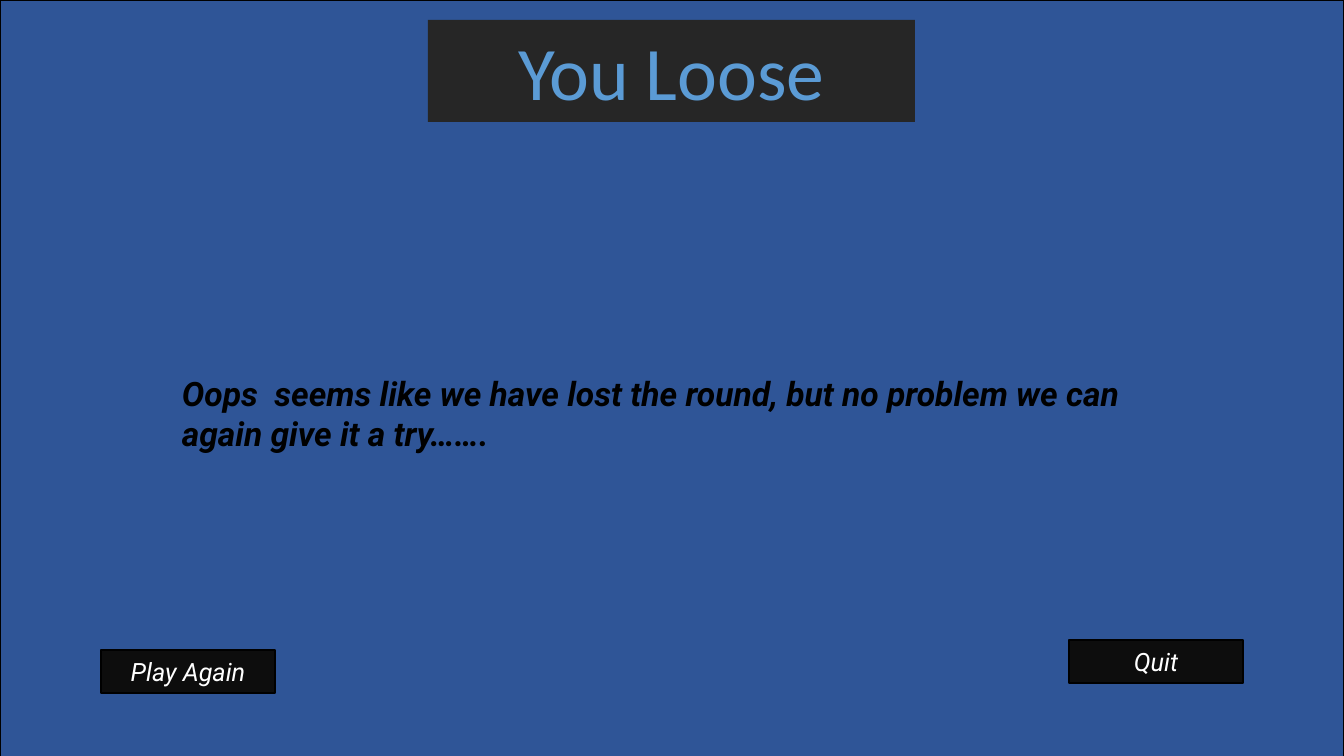
from dataclasses import dataclass
from typing import Optional

from pptx import Presentation
from pptx import util as u
from pptx.dml import color
from pptx.enum import shapes, text

SCALE = u.Inches(1) / 100.8


def px(pixels: int) -> u.Emu:
    return u.Emu(round(pixels * SCALE))


def rgb(value: str) -> color.RGBColor:
    return color.RGBColor.from_string(value)


@dataclass(frozen=True)
class Label:
    wording: str
    size: int
    font: str
    ink: str
    bold: bool = False
    italic: bool = False
    align: text.PP_ALIGN = text.PP_ALIGN.CENTER
    anchor: text.MSO_ANCHOR = text.MSO_ANCHOR.MIDDLE


@dataclass(frozen=True)
class Panel:
    left: int
    top: int
    width: int
    height: int
    fill: Optional[str] = None
    line: Optional[str] = None
    label: Optional[Label] = None


def write_label(shape, label: Label) -> None:
    frame = shape.text_frame
    frame.word_wrap = True
    frame.vertical_anchor = label.anchor
    paragraph = frame.paragraphs[0]
    paragraph.alignment = label.align
    run = paragraph.add_run()
    run.text = label.wording
    run.font.name = label.font
    run.font.size = u.Pt(label.size)
    run.font.bold = label.bold
    run.font.italic = label.italic
    run.font.color.rgb = rgb(label.ink)


def draw_panel(slide, panel: Panel) -> None:
    box = [px(side) for side in (panel.left, panel.top, panel.width, panel.height)]
    if panel.fill:
        shape = slide.shapes.add_shape(shapes.MSO_SHAPE.RECTANGLE, *box)
        shape.shadow.inherit = False
        shape.fill.solid()
        shape.fill.fore_color.rgb = rgb(panel.fill)
        if panel.line:
            shape.line.color.rgb = rgb(panel.line)
            shape.line.width = u.Pt(1)
        else:
            shape.line.fill.background()
    else:
        shape = slide.shapes.add_textbox(*box)
    if panel.label:
        write_label(shape, panel.label)


def button(left: int, top: int, wording: str) -> Panel:
    label = Label(wording, 18, "Roboto", "FFFFFF", italic=True)
    return Panel(left, top, 174, 43, "0D0D0D", "000000", label)


TITLE = Label("You Loose", 54, "Calibri", "5B9BD5", anchor=text.MSO_ANCHOR.TOP)
MESSAGE = Label(
    "Oops  seems like we have lost the round, but no problem we can again give it a try…….",
    24, "Roboto", "000000", bold=True, italic=True,
    align=text.PP_ALIGN.LEFT, anchor=text.MSO_ANCHOR.TOP,
)
PANELS = [
    Panel(0, 0, 1344, 764, "2F5597", "000000"),
    Panel(428, 20, 487, 102, "262626", label=TITLE),
    Panel(172, 368, 1020, 92, label=MESSAGE),
    button(101, 650, "Play Again"),
    button(1069, 640, "Quit"),
]

presentation = Presentation()
presentation.slide_width = px(1344)
presentation.slide_height = px(756)
slide = presentation.slides.add_slide(presentation.slide_layouts[6])
for panel in PANELS:
    draw_panel(slide, panel)
presentation.save("out.pptx")
